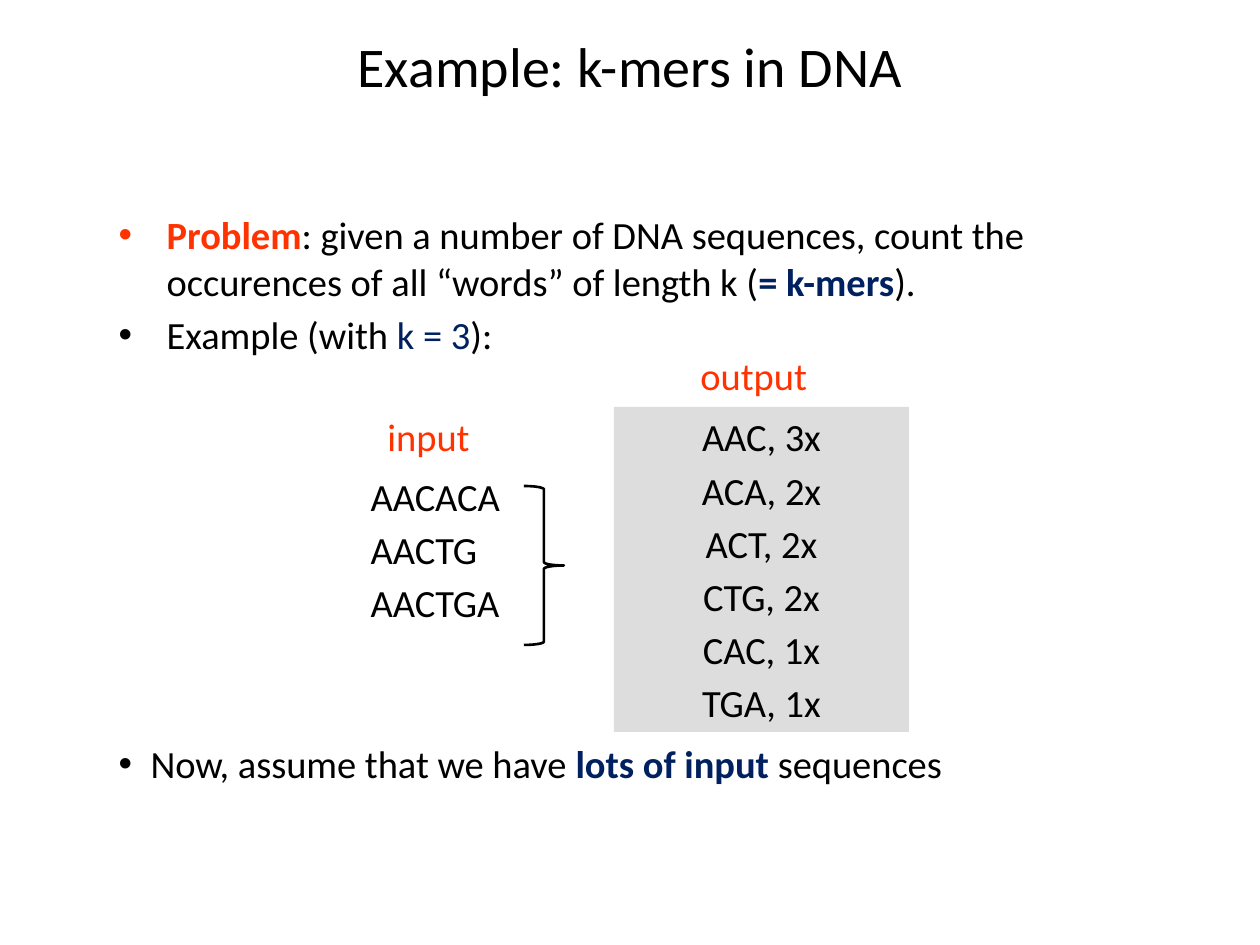
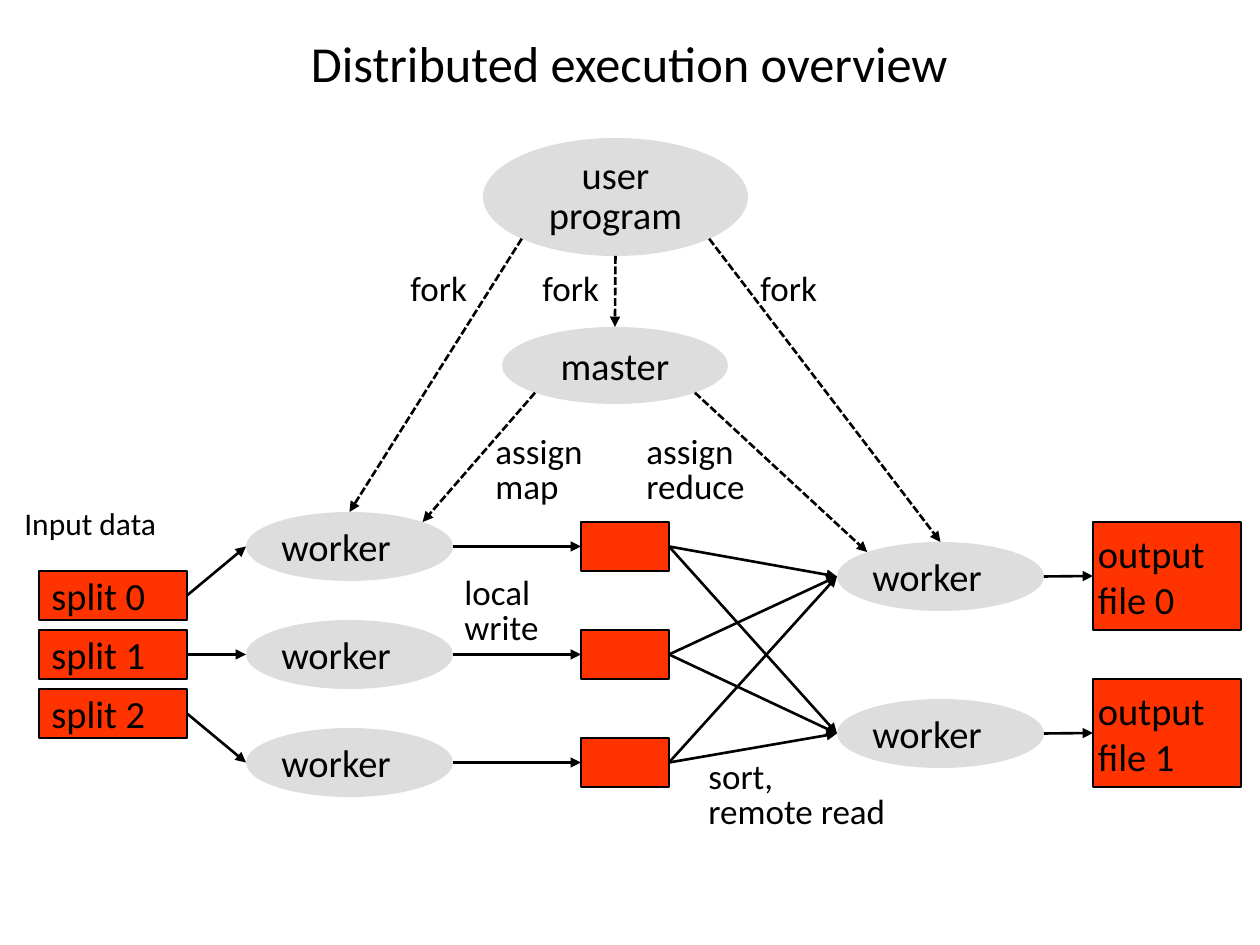
from dataclasses import dataclass
from math import cos, pi, sin

from lxml.etree import SubElement
from pptx import Presentation
from pptx.dml.color import RGBColor
from pptx.enum.dml import MSO_LINE
from pptx.enum.shapes import MSO_CONNECTOR, MSO_SHAPE
from pptx.enum.text import MSO_ANCHOR, MSO_AUTO_SIZE, PP_ALIGN
from pptx.oxml.ns import qn
from pptx.shapes.autoshape import Shape
from pptx.slide import Slide
from pptx.text.text import TextFrame
from pptx.util import Emu, Pt


@dataclass(frozen=True)
class Theme:
    """Colours, font and type sizes shared by the slides."""
    font: str = "Calibri"
    ink: str = "000000"
    accent: str = "FF3300"
    navy: str = "002060"
    grey: str = "DDDDDD"
    title: float = 32
    small_title: float = 28.8
    body: float = 22
    label: float = 20
    caption: float = 18
    outline: float = 1
    stroke: float = 1.5


@dataclass(frozen=True)
class Box:
    """A rectangle in px."""
    left: int
    top: int
    width: int
    height: int

    def emu(self) -> list[Emu]:
        """Give the four lengths in EMU."""
        return [px(n) for n in (self.left, self.top, self.width, self.height)]

    def down(self, step: int) -> "Box":
        """Give the same box moved down."""
        return Box(self.left, self.top + step, self.width, self.height)


THEME = Theme()
PX_PER_INCH = 126
TIGHT = 5


@dataclass(frozen=True)
class Run:
    """A stretch of text in one format."""
    text: str
    color: str = THEME.ink
    bold: bool = False


@dataclass(frozen=True)
class Line:
    """A paragraph with its spacing and, in the body, its indent."""
    runs: tuple[Run, ...]
    align: PP_ALIGN = PP_ALIGN.LEFT
    before: float | None = None
    pitch: float | None = None
    indent: int | None = None
    bullet: bool = True


@dataclass(frozen=True)
class Node:
    """A filled shape of the diagram with its text."""
    box: Box
    text: str = ""
    kind: MSO_SHAPE = MSO_SHAPE.OVAL
    align: PP_ALIGN = PP_ALIGN.LEFT
    inset: int | None = None
    pitch: float | None = None
    before: float | None = None
    outlined: bool = False


@dataclass(frozen=True)
class Label:
    """Free text beside the diagram."""
    box: Box
    text: str
    size: float = THEME.label
    color: str = THEME.ink
    pitch: float | None = None


@dataclass(frozen=True)
class Arrow:
    """An arrow between two placed nodes, leaving and arriving at compass points."""
    start: Shape
    leave: str
    end: Shape
    arrive: str
    dashed: bool = False


RECT_SITES = {"N": 0, "W": 1, "S": 2, "E": 3}
BEARINGS = {name: i * pi / 4 for i, name in enumerate(("E", "SE", "S", "SW", "W", "NW", "N", "NE"))}


def px(length: int) -> Emu:
    """Turn px into EMU."""
    return Emu(round(length * 914400 / PX_PER_INCH))


def write(frame: TextFrame, lines: list[Line], size: float) -> None:
    """Fill a text frame paragraph by paragraph, run by run."""
    for i, line in enumerate(lines):
        paragraph = frame.add_paragraph() if i else frame.paragraphs[0]
        paragraph.alignment = line.align
        if line.before is not None:
            paragraph.space_before = Pt(line.before)
        if line.pitch is not None:
            paragraph.line_spacing = Pt(line.pitch)
        if line.indent is not None:
            paragraph.level = 0 if line.bullet else 1
            properties = paragraph._p.get_or_add_pPr()
            properties.set("marL", str(px(line.indent)))
            properties.set("indent", str(-px(line.indent) if line.bullet else 0))
            if not line.bullet:
                SubElement(properties, qn("a:buNone"))
        for part in line.runs:
            run = paragraph.add_run()
            run.text = part.text
            run.font.name = THEME.font
            run.font.size = Pt(size)
            run.font.bold = part.bold
            run.font.color.rgb = RGBColor.from_string(part.color)


def fill_placeholder(holder: Shape, box: Box, lines: list[Line], size: float) -> None:
    """Move a placeholder and write its text."""
    holder.left, holder.top, holder.width, holder.height = box.emu()
    holder.text_frame.auto_size = MSO_AUTO_SIZE.NONE
    write(holder.text_frame, lines, size)


def set_title(slide: Slide, text: str, box: Box, size: float) -> None:
    """Write the slide title."""
    fill_placeholder(slide.shapes.title, box, [Line((Run(text),), PP_ALIGN.CENTER)], size)


def add_node(slide: Slide, node: Node) -> Shape:
    """Draw a filled shape with its text."""
    shape = slide.shapes.add_shape(node.kind, *node.box.emu())
    shape.shadow.inherit = False
    shape.fill.solid()
    shape.fill.fore_color.rgb = RGBColor.from_string(THEME.accent if node.outlined else THEME.grey)
    if node.outlined:
        shape.line.color.rgb = RGBColor.from_string(THEME.ink)
        shape.line.width = Pt(THEME.outline)
    else:
        shape.line.fill.background()
    if node.text:
        frame = shape.text_frame
        frame.word_wrap = True
        frame.vertical_anchor = MSO_ANCHOR.MIDDLE
        if node.inset is not None:
            frame.margin_left = frame.margin_right = px(node.inset)
            frame.margin_top = frame.margin_bottom = px(node.inset)
        lines = [Line((Run(text),), node.align, node.before, node.pitch) for text in node.text.split("\n")]
        write(frame, lines, THEME.body)
    return shape


def add_label(slide: Slide, label: Label) -> None:
    """Draw a text box that does not wrap."""
    frame = slide.shapes.add_textbox(*label.box.emu()).text_frame
    frame.word_wrap = False
    frame.auto_size = MSO_AUTO_SIZE.SHAPE_TO_FIT_TEXT
    lines = [Line((Run(text, label.color),), pitch=label.pitch) for text in label.text.split("\n")]
    write(frame, lines, label.size)


def edge_point(shape: Shape, bearing: str) -> tuple[Emu, Emu]:
    """Find the point on a shape's inscribed ellipse at a compass point."""
    angle = BEARINGS[bearing]
    return (Emu(round(shape.left + shape.width * (1 + cos(angle)) / 2)),
            Emu(round(shape.top + shape.height * (1 + sin(angle)) / 2)))


def add_arrow(slide: Slide, arrow: Arrow) -> None:
    """Draw an arrow and join it to the rectangles it touches."""
    link = slide.shapes.add_connector(
        MSO_CONNECTOR.STRAIGHT, *edge_point(arrow.start, arrow.leave), *edge_point(arrow.end, arrow.arrive))
    if arrow.start.auto_shape_type == MSO_SHAPE.RECTANGLE:
        link.begin_connect(arrow.start, RECT_SITES[arrow.leave])
    if arrow.end.auto_shape_type == MSO_SHAPE.RECTANGLE:
        link.end_connect(arrow.end, RECT_SITES[arrow.arrive])
    link.line.color.rgb = RGBColor.from_string(THEME.ink)
    link.line.width = Pt(THEME.stroke)
    if arrow.dashed:
        link.line.dash_style = MSO_LINE.SQUARE_DOT
    SubElement(link.line._get_or_add_ln(), qn("a:tailEnd"), type="triangle")
    SubElement(link._element.spPr, qn("a:effectLst"))


def build_kmers(slide: Slide) -> None:
    """Build the k-mer counting example."""
    set_title(slide, "Example: k-mers in DNA", Box(63, 21, 1134, 88), THEME.title)
    block_gap, line_gap = 65.7, 4
    sequences = [
        Line((Run(sequence),), before=line_gap if i else block_gap, indent=252, bullet=False)
        for i, sequence in enumerate(("AACACA", "AACTG", "AACTGA"))]
    fill_placeholder(slide.placeholders[1], Box(106, 205, 1060, 633), [
        Line((Run("Problem", THEME.accent, True),
              Run(": given a number of DNA sequences, count the occurences of all “words” of length k ("),
              Run("= k-mers", THEME.navy, True), Run(").")), indent=48),
        Line((Run("Example (with "), Run("k = 3", THEME.navy), Run("):")), indent=48),
        *sequences,
        Line((Run("Now, assume that we have "), Run("lots of input", THEME.navy, True),
              Run(" sequences")), before=block_gap, indent=32),
    ], THEME.body)

    brace = slide.shapes.add_shape(MSO_SHAPE.RIGHT_BRACE, *Box(524, 486, 40, 159).emu())
    brace.shadow.inherit = False
    brace.fill.background()
    brace.line.color.rgb = RGBColor.from_string(THEME.ink)
    brace.line.width = Pt(THEME.stroke)

    counts = "AAC, 3x\nACA, 2x\nACT, 2x\nCTG, 2x\nCAC, 1x\nTGA, 1x"
    add_node(slide, Node(Box(614, 407, 295, 325), counts, MSO_SHAPE.RECTANGLE,
                         PP_ALIGN.CENTER, before=line_gap))
    add_label(slide, Label(Box(688, 346, 134, 59), "output", THEME.body, THEME.accent))
    add_label(slide, Label(Box(375, 407, 108, 59), "input", THEME.body, THEME.accent))


def build_execution(slide: Slide) -> None:
    """Build the diagram of the distributed execution."""
    set_title(slide, "Distributed execution overview", Box(281, 28, 697, 68), THEME.small_title)
    split_step, map_step, reduce_step = 59, 108, 157

    program = add_node(slide, Node(Box(483, 138, 265, 118), "user\nprogram", align=PP_ALIGN.CENTER,
                                   inset=TIGHT, pitch=23))
    master = add_node(slide, Node(Box(502, 327, 226, 77), "master", align=PP_ALIGN.CENTER))
    splits = [add_node(slide, Node(Box(39, 571, 148, 49).down(i * split_step), f"split {i}",
                                   MSO_SHAPE.RECTANGLE, outlined=True)) for i in range(3)]
    mappers = [add_node(slide, Node(Box(246, 512, 207, 69).down(i * map_step), "worker", inset=TIGHT))
               for i in range(3)]
    buffers = [add_node(slide, Node(Box(581, 522, 88, 49).down(i * map_step),
                                    kind=MSO_SHAPE.RECTANGLE, outlined=True)) for i in range(3)]
    reducers = [add_node(slide, Node(Box(837, 542, 207, 69).down(i * reduce_step), "worker", inset=TIGHT))
                for i in range(2)]
    outputs = [add_node(slide, Node(Box(1093, 522, 148, 108).down(i * reduce_step), f"output file {i}",
                                    MSO_SHAPE.RECTANGLE, inset=TIGHT, outlined=True)) for i in range(2)]

    flows = [*zip(splits, mappers), *zip(mappers, buffers),
             *((buffer, reducer) for buffer in buffers for reducer in reducers),
             *zip(reducers, outputs)]
    commands = [
        Arrow(program, "SW", mappers[0], "N", True),
        Arrow(program, "S", master, "N", True),
        Arrow(program, "SE", reducers[0], "N", True),
        Arrow(master, "SW", mappers[0], "NE", True),
        Arrow(master, "SE", reducers[0], "NW", True),
    ]
    for arrow in [Arrow(source, "E", target, "W") for source, target in flows] + commands:
        add_arrow(slide, arrow)

    for left in (398, 530, 748):
        add_label(slide, Label(Box(left, 260, 84, 55), "fork"))
    for box, text in (
        (Box(483, 430, 127, 92), "assign\nmap"),
        (Box(634, 430, 134, 92), "assign\nreduce"),
        (Box(452, 571, 101, 92), "local\nwrite"),
        (Box(696, 755, 215, 92), "sort,\nremote read"),
    ):
        add_label(slide, Label(box, text, pitch=20))
    add_label(slide, Label(Box(12, 498, 214, 64), "Input data", THEME.caption))


def main() -> None:
    """Build and save the presentation."""
    deck = Presentation()
    deck.slide_width, deck.slide_height = px(1260), px(945)
    build_kmers(deck.slides.add_slide(deck.slide_layouts[1]))
    build_execution(deck.slides.add_slide(deck.slide_layouts[5]))
    deck.save("out.pptx")


if __name__ == "__main__":
    main()
